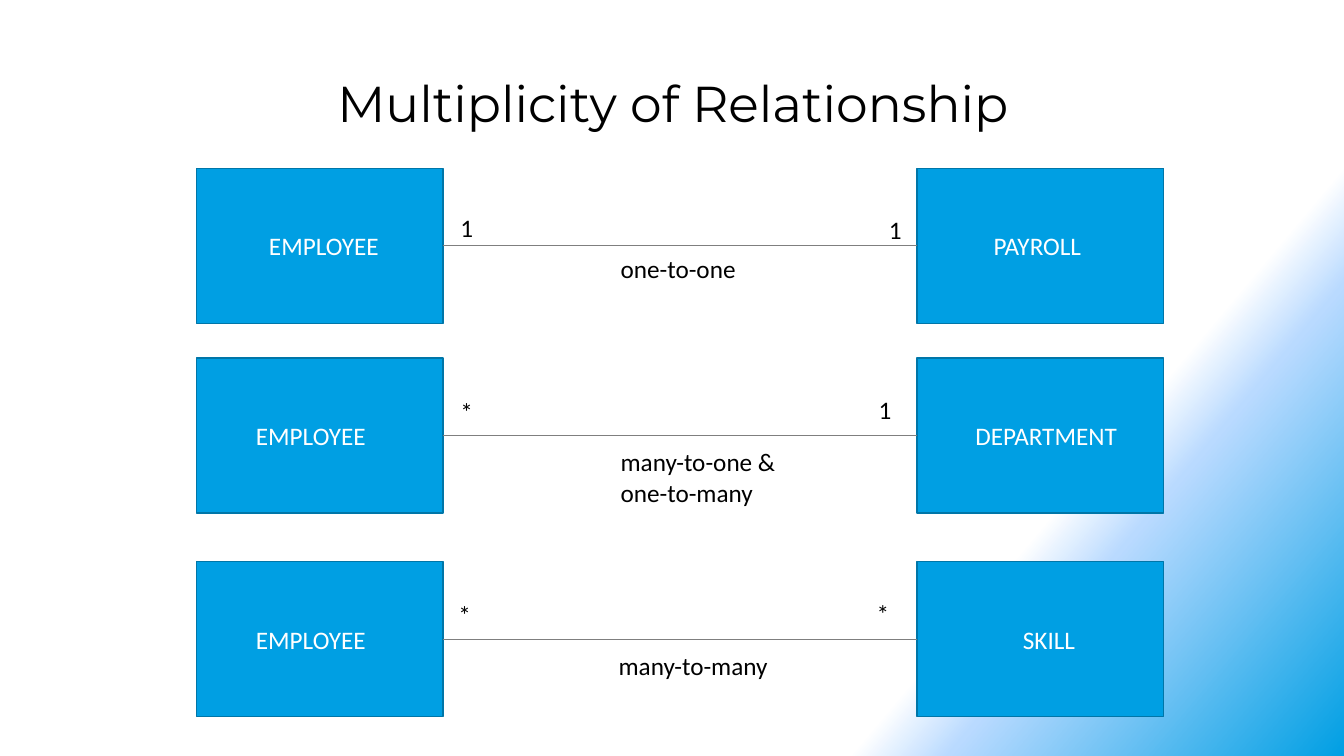
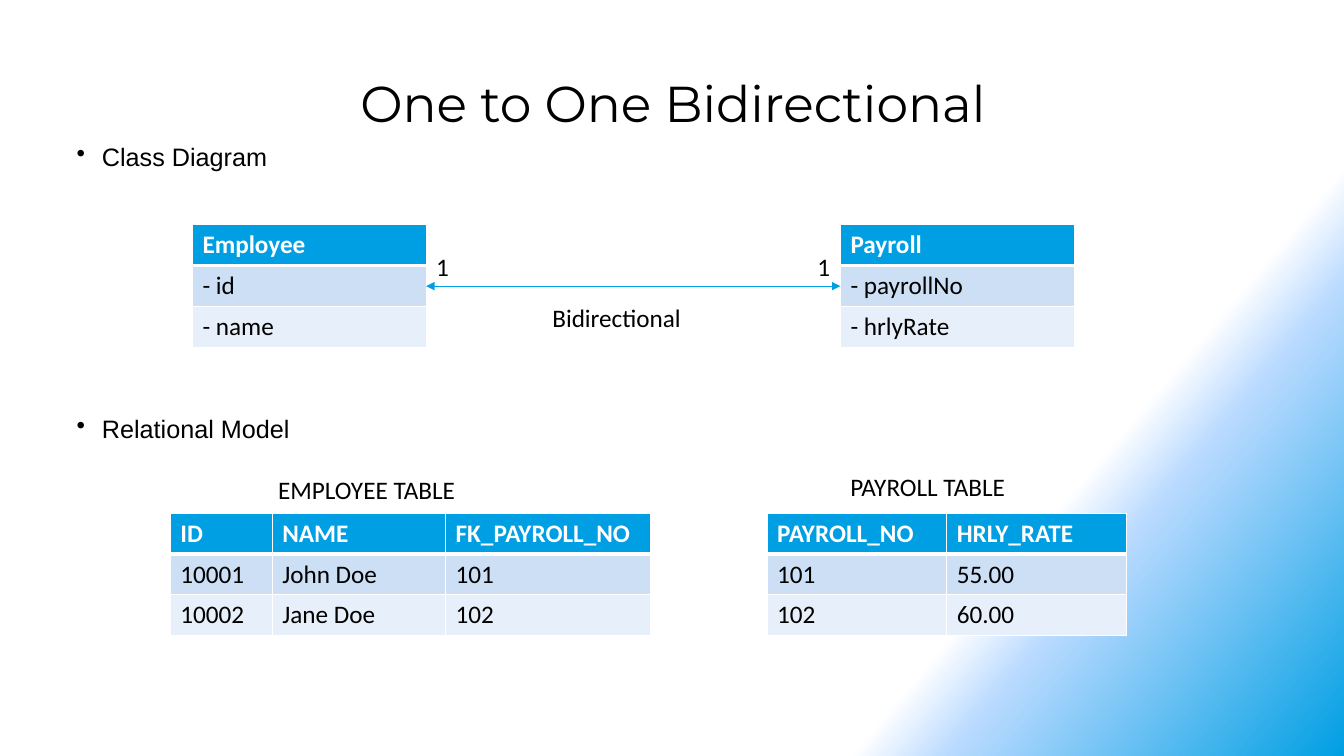
from lxml import etree
from pptx import Presentation
from pptx import util as u
from pptx.dml.color import RGBColor
from pptx.enum import shapes, text
from pptx.oxml import ns

BLUE = RGBColor(0x00, 0x9F, 0xE3)
DARK_BLUE = RGBColor(0x00, 0x76, 0xA8)
SKY = RGBColor(0xB9, 0xDA, 0xFF)
BAND = RGBColor(0xCC, 0xDF, 0xF4)
PALE = RGBColor(0xE7, 0xF0, 0xFA)
GRAY = RGBColor(0x7F, 0x7F, 0x7F)
WHITE = RGBColor(0xFF, 0xFF, 0xFF)
BLACK = RGBColor(0x00, 0x00, 0x00)


def write(frame, lines, font="Calibri", size=18, color=BLACK, bold=False, align=text.PP_ALIGN.LEFT):
    frame.word_wrap = True
    for number, line in enumerate(lines):
        para = frame.add_paragraph() if number else frame.paragraphs[0]
        para.alignment = align
        span = para.add_run()
        span.text = line
        span.font.name = font
        span.font.size = u.Pt(size)
        span.font.bold = bold
        span.font.color.rgb = color


def add_line(page, left, right, y, color):
    line = page.shapes.add_connector(
        shapes.MSO_CONNECTOR.STRAIGHT, u.Cm(left), u.Cm(y), u.Cm(right), u.Cm(y))
    line.line.color.rgb = color
    line.line.width = u.Pt(0.5)
    etree.SubElement(line._element.spPr, ns.qn("a:effectLst"))
    return line


deck = Presentation()
deck.slide_width = u.Cm(33.87)
deck.slide_height = u.Cm(19.05)

backdrop = deck.slide_master.background.fill
backdrop.gradient()
gradient = deck.slide_master._element.find(".//" + ns.qn("a:gradFill"))
for part in list(gradient):
    gradient.remove(part)
stops = etree.SubElement(gradient, ns.qn("a:gsLst"))
for percent, color in [(75, WHITE), (80, SKY), (100, BLUE)]:
    stop = etree.SubElement(stops, ns.qn("a:gs"), pos=str(percent * 1000))
    etree.SubElement(stop, ns.qn("a:srgbClr"), val=str(color))
etree.SubElement(gradient, ns.qn("a:lin"), ang=str(40 * 60000), scaled="0")

pages = []
for title in ["Multiplicity of Relationship", "One to One Bidirectional"]:
    page = deck.slides.add_slide(deck.slide_layouts[6])
    box = page.shapes.add_textbox(u.Cm(1.68), u.Cm(1.7), u.Cm(30.56), u.Cm(3.1))
    write(box.text_frame, [title], "Montserrat", 36, align=text.PP_ALIGN.CENTER)
    pages.append(page)
multiplicity, bidirectional = pages

BOX_WIDTH, BOX_HEIGHT = 6.22, 3.91
BOX_LEFTS = [4.95, 23.11]
relationships = [
    (4.24, [("EMPLOYEE", 1.83), ("PAYROLL", 1.93)]),
    (9.02, [("EMPLOYEE", 1.5), ("DEPARTMENT", 1.47)]),
    (14.15, [("EMPLOYEE", 1.5), ("SKILL", 2.67)]),
]
for top, entities in relationships:
    for left, (name, indent) in zip(BOX_LEFTS, entities):
        box = multiplicity.shapes.add_shape(
            shapes.MSO_SHAPE.RECTANGLE, u.Cm(left), u.Cm(top), u.Cm(BOX_WIDTH), u.Cm(BOX_HEIGHT))
        box.shadow.inherit = False
        box.fill.solid()
        box.fill.fore_color.rgb = BLUE
        box.line.color.rgb = DARK_BLUE
        box.line.width = u.Pt(1)
        box.text_frame.margin_left = u.Cm(indent)
        box.text_frame.vertical_anchor = text.MSO_ANCHOR.MIDDLE
        write(box.text_frame, [name], color=WHITE)
    add_line(multiplicity, BOX_LEFTS[0] + BOX_WIDTH, BOX_LEFTS[1], top + BOX_HEIGHT / 2, GRAY)

topics = bidirectional.shapes.add_textbox(u.Cm(1.68), u.Cm(3.43), u.Cm(30.56), u.Cm(8.5))
write(topics.text_frame, ["Class Diagram", "Relational Model"], "Arial")
topics.text_frame.paragraphs[1].space_before = u.Pt(173)
for para in topics.text_frame.paragraphs:
    settings = para._p.get_or_add_pPr()
    settings.set("marL", str(u.Cm(0.64)))
    settings.set("indent", str(u.Cm(-0.64)))
    etree.SubElement(settings, ns.qn("a:buChar"), char="•")

ROW_HEIGHT = 1.03
tables = [
    (4.85, 5.66, [5.89], [["Employee"], ["- id"], ["- name"]]),
    (21.18, 5.66, [5.89], [["Payroll"], ["- payrollNo"], ["- hrlyRate"]]),
    (4.29, 12.93, [2.57, 4.37, 5.16],
     [["ID", "NAME", "FK_PAYROLL_NO"], ["10001", "John Doe", "101"], ["10002", "Jane Doe", "102"]]),
    (19.33, 12.93, [4.53, 4.53],
     [["PAYROLL_NO", "HRLY_RATE"], ["101", "55.00"], ["102", "60.00"]]),
]
for left, top, widths, rows in tables:
    table = bidirectional.shapes.add_table(
        len(rows), len(widths), u.Cm(left), u.Cm(top),
        u.Cm(sum(widths)), u.Cm(ROW_HEIGHT * len(rows))).table
    for column, width in zip(table.columns, widths):
        column.width = u.Cm(width)
    for r, (values, fill) in enumerate(zip(rows, [BLUE, BAND, PALE])):
        table.rows[r].height = u.Cm(ROW_HEIGHT)
        borders = {"L": 1, "R": 1, "T": 3 if r == 1 else 1, "B": 3 if r == 0 else 1}
        for c, value in enumerate(values):
            cell = table.cell(r, c)
            for side, points in borders.items():
                border = etree.SubElement(
                    cell._tc.get_or_add_tcPr(), ns.qn("a:ln" + side), w=str(u.Pt(points)))
                paint = etree.SubElement(border, ns.qn("a:solidFill"))
                etree.SubElement(paint, ns.qn("a:srgbClr"), val=str(WHITE))
            cell.fill.solid()
            cell.fill.fore_color.rgb = fill
            write(cell.text_frame, [value], color=BLACK if r else WHITE, bold=r == 0)

arrow = add_line(bidirectional, 10.74, 21.18, 7.21, BLUE)
for end in ["a:headEnd", "a:tailEnd"]:
    etree.SubElement(arrow.line._get_or_add_ln(), ns.qn(end), type="triangle")

labels = [
    (multiplicity, 11.35, 5.23, 1.22, ["1"]),
    (multiplicity, 22.15, 5.28, 1.22, ["1"]),
    (multiplicity, 15.39, 6.27, 6.22, ["one-to-one"]),
    (multiplicity, 11.35, 9.86, 1.22, ["*"]),
    (multiplicity, 21.89, 9.8, 1.22, ["1"]),
    (multiplicity, 15.39, 11.13, 6.22, ["many-to-one &", "one-to-many"]),
    (multiplicity, 11.3, 14.99, 1.22, ["*"]),
    (multiplicity, 21.84, 14.94, 1.22, ["*"]),
    (multiplicity, 15.34, 16.26, 6.22, ["many-to-many"]),
    (bidirectional, 10.74, 6.2, 0.84, ["1"]),
    (bidirectional, 20.35, 6.2, 0.84, ["1"]),
    (bidirectional, 13.67, 7.49, 5.36, ["Bidirectional"]),
    (bidirectional, 6.76, 11.84, 6.15, ["EMPLOYEE TABLE"]),
    (bidirectional, 21.18, 11.76, 6.15, ["PAYROLL TABLE"]),
]
for page, left, top, width, lines in labels:
    box = page.shapes.add_textbox(u.Cm(left), u.Cm(top), u.Cm(width), u.Cm(1.02 * len(lines)))
    write(box.text_frame, lines)

deck.save("out.pptx")
